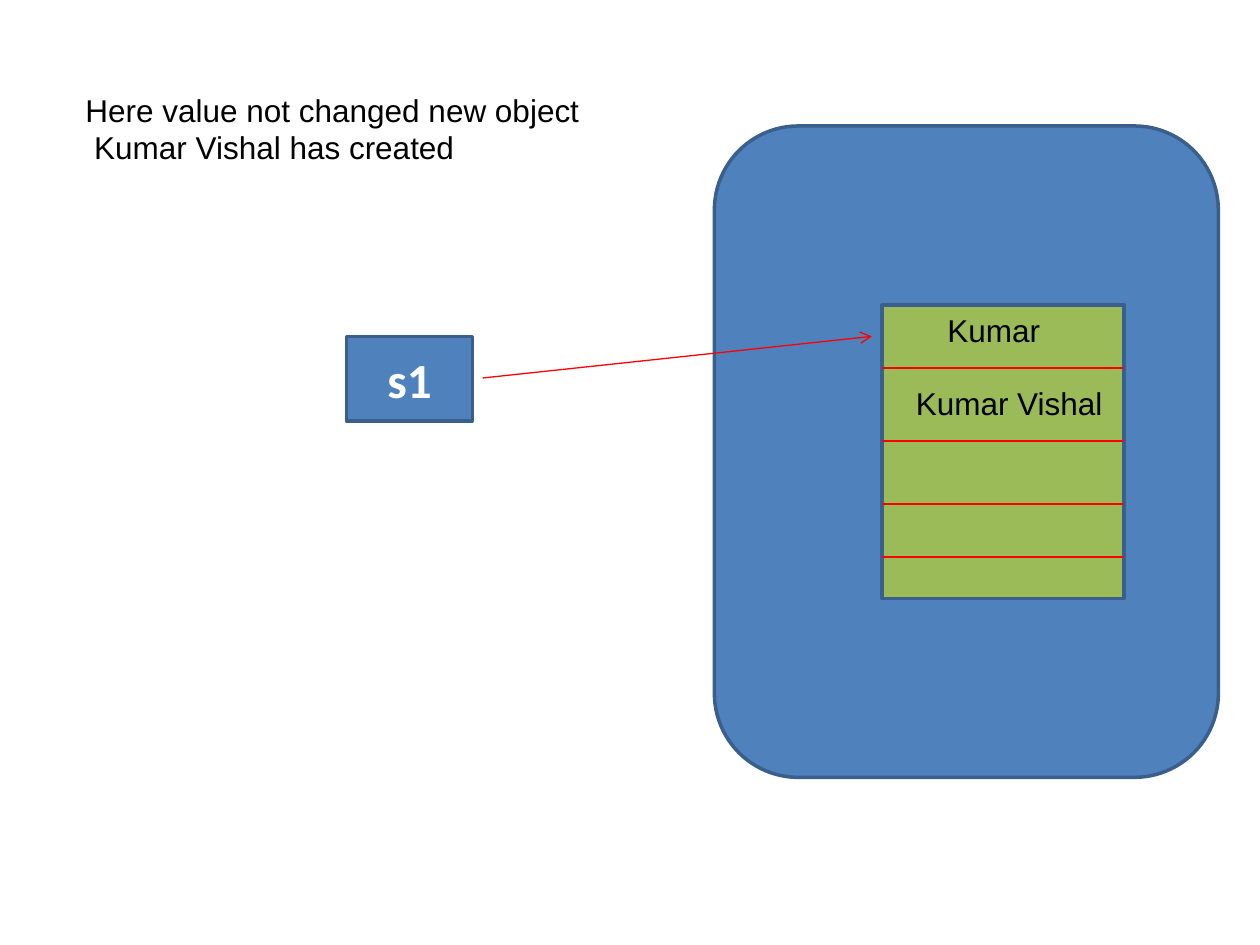
from dataclasses import dataclass

from lxml.etree import SubElement
from pptx import Presentation
from pptx.dml.color import RGBColor
from pptx.enum.shapes import MSO_CONNECTOR as Connector, MSO_SHAPE as Shape
from pptx.enum.text import MSO_ANCHOR as Anchor, MSO_AUTO_SIZE as AutoSize, PP_ALIGN as Align
from pptx.oxml.ns import qn
from pptx.util import Inches, Pt


@dataclass(frozen=True)
class Theme:
    blue: RGBColor = RGBColor.from_string("4F81BD")
    border: RGBColor = RGBColor.from_string("3A5F8C")
    green: RGBColor = RGBColor.from_string("9BBB59")
    red: RGBColor = RGBColor.from_string("FF0000")
    white: RGBColor = RGBColor.from_string("FFFFFF")
    black: RGBColor = RGBColor.from_string("000000")
    body_size: Pt = Pt(18)
    variable_size: Pt = Pt(28)
    border_width: Pt = Pt(2)
    line_width: Pt = Pt(0.75)


THEME = Theme()
BODY = {"name": "Arial", "size": THEME.body_size, "bold": False}
VARIABLE = {"name": "Calibri", "size": THEME.variable_size, "bold": True}


def write_text(frame, lines, font, color, align=Align.LEFT):
    for index, line in enumerate(lines):
        paragraph = frame.add_paragraph() if index else frame.paragraphs[0]
        paragraph.alignment = align
        run = paragraph.add_run()
        run.text = line
        for attribute, value in font.items():
            setattr(run.font, attribute, value)
        run.font.color.rgb = color


def add_box(slide, kind, bounds, fill):
    shape = slide.shapes.add_shape(kind, *map(Inches, bounds))
    shape.shadow.inherit = False
    shape.fill.solid()
    shape.fill.fore_color.rgb = fill
    shape.line.color.rgb = THEME.border
    shape.line.width = THEME.border_width
    return shape


def add_label(slide, bounds, lines):
    frame = slide.shapes.add_textbox(*map(Inches, bounds)).text_frame
    frame.word_wrap = False
    frame.auto_size = AutoSize.SHAPE_TO_FIT_TEXT
    write_text(frame, lines, BODY, THEME.black)


def add_line(slide, start, end, arrow=False):
    points = map(Inches, (*start, *end))
    connector = slide.shapes.add_connector(Connector.STRAIGHT, *points)
    connector.line.color.rgb = THEME.red
    connector.line.width = THEME.line_width
    if arrow:
        SubElement(connector.line._get_or_add_ln(), qn("a:tailEnd"), type="arrow")
    SubElement(connector._element.spPr, qn("a:effectLst"))


def add_memory(slide):
    left, top, width, height = 7, 2.42, 1.92, 2.33
    add_box(slide, Shape.ROUNDED_RECTANGLE, (5.67, 1, 4, 5.17), THEME.blue)
    add_box(slide, Shape.RECTANGLE, (left, top, width, height), THEME.green)
    for divider in (2.92, 3.5, 4, 4.42):
        add_line(slide, (left, divider), (left + width, divider))
    add_label(slide, (7.42, top, 0.94, 0.4), ["Kumar"])
    add_label(slide, (7.17, 3, 1.7, 0.4), ["Kumar Vishal"])


def add_variable(slide):
    shape = add_box(slide, Shape.RECTANGLE, (2.75, 2.67, 1, 0.67), THEME.blue)
    shape.text_frame.vertical_anchor = Anchor.MIDDLE
    write_text(shape.text_frame, ["s1"], VARIABLE, THEME.white, Align.CENTER)
    add_line(slide, (3.83, 3), (6.92, 2.67), arrow=True)


def main():
    presentation = Presentation()
    presentation.slide_width = Inches(10)
    presentation.slide_height = Inches(7.5)
    slide = presentation.slides.add_slide(presentation.slide_layouts[6])
    add_memory(slide)
    add_variable(slide)
    explanation = ["Here value not changed new object", " Kumar Vishal has created"]
    add_label(slide, (0.58, 0.67, 4.16, 0.71), explanation)
    presentation.save("out.pptx")


main()
